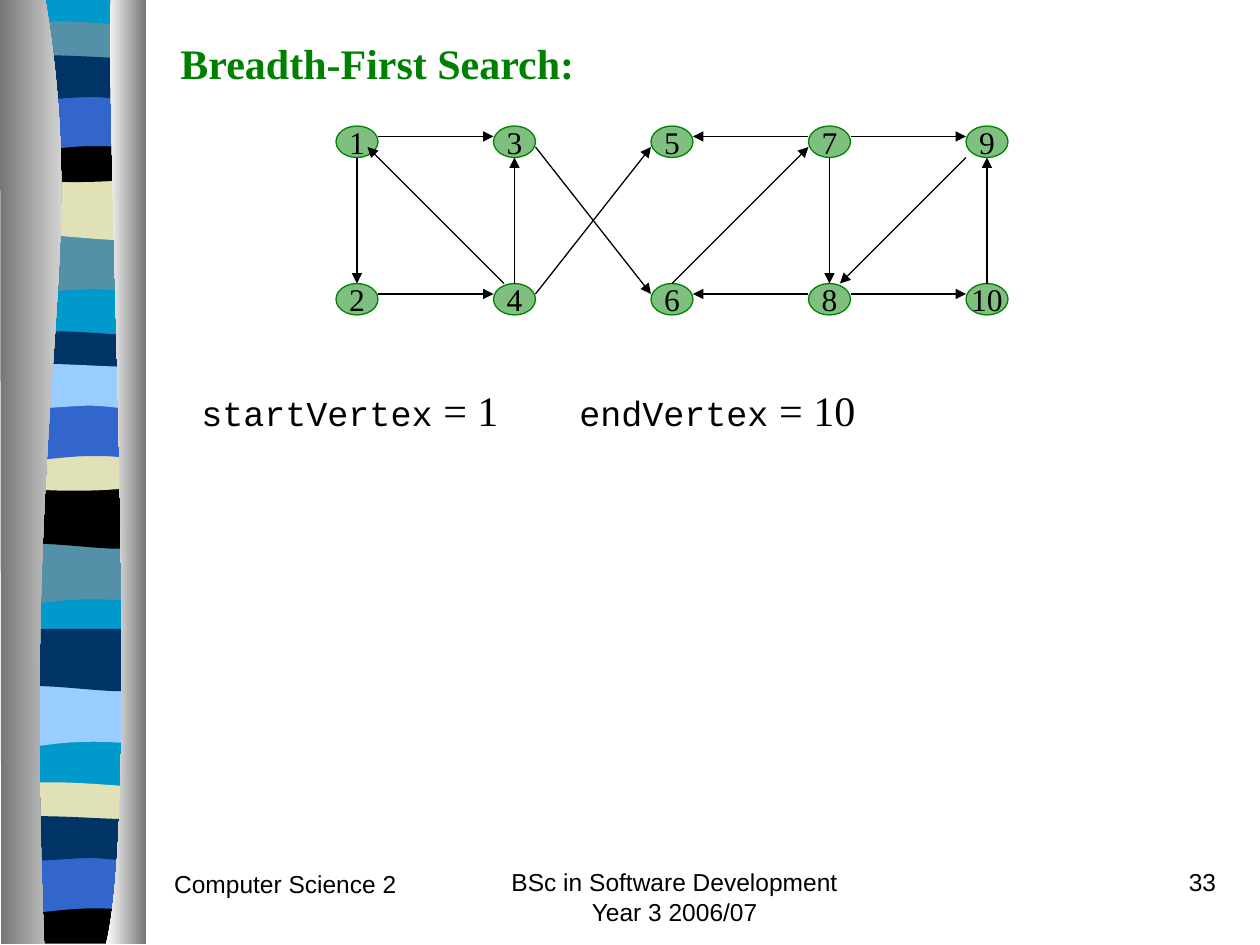
from dataclasses import dataclass
from typing import NamedTuple

from lxml import etree
from pptx import Presentation
from pptx.dml.color import RGBColor
from pptx.enum.shapes import MSO_CONNECTOR, MSO_SHAPE
from pptx.enum.text import MSO_ANCHOR, MSO_AUTO_SIZE, PP_ALIGN
from pptx.oxml.ns import qn
from pptx.util import Emu, Inches, Pt

LEFT, CENTER, RIGHT = PP_ALIGN.LEFT, PP_ALIGN.CENTER, PP_ALIGN.RIGHT
MIDDLE = MSO_ANCHOR.MIDDLE
STRAIGHT = MSO_CONNECTOR.STRAIGHT
OVAL = MSO_SHAPE.OVAL
GROW = MSO_AUTO_SIZE.SHAPE_TO_FIT_TEXT


@dataclass(frozen=True)
class Theme:
    black: str = "000000"
    green: str = "008000"
    cyan: str = "0099CC"
    slate: str = "5490A8"
    cream: str = "E1E1B7"
    blue: str = "3366CC"
    navy: str = "003366"
    sky: str = "99CCFF"
    gray: str = "767676"
    white: str = "FFFFFF"
    serif: str = "Times New Roman"
    sans: str = "Arial"
    mono: str = "Courier New"
    title: int = 24
    code: int = 20
    label: int = 18
    footer: int = 14
    hairline: float = 0.75


class Span(NamedTuple):
    text: str
    font: str
    size: int


class Band(NamedTuple):
    wave: str
    left: int
    top: int
    color: str


class Port(NamedTuple):
    x: int
    y: int


class Edge(NamedTuple):
    start: int
    leave: Port
    end: int
    enter: Port


THEME = Theme()
COLUMNS, ROWS = 120, 90
NODE_LEFT, NODE_TOP, NODE_WIDTH, NODE_HEIGHT, NODE_PITCH = 32, 12, 4, 3, 15
WEST, EAST, NORTH, SOUTH = Port(0, 1), Port(4, 1), Port(2, 0), Port(2, 3)
EDGES = [
    Edge(1, EAST, 3, WEST), Edge(7, WEST, 5, EAST), Edge(7, EAST, 9, WEST),
    Edge(2, EAST, 4, WEST), Edge(8, WEST, 6, EAST), Edge(8, EAST, 10, WEST),
    Edge(1, SOUTH, 2, NORTH), Edge(4, NORTH, 3, SOUTH),
    Edge(7, SOUTH, 8, NORTH), Edge(10, NORTH, 9, SOUTH),
    Edge(4, Port(1, 0), 1, Port(3, 2)), Edge(4, EAST, 5, Port(0, 2)),
    Edge(3, Port(4, 2), 6, WEST), Edge(6, NORTH, 7, Port(0, 2)),
    Edge(9, Port(0, 3), 8, Port(3, 0)),
]

WAVES = {
    "block": [(108, 0), (108, 748), (0, 748), (0, 0)],
    "dip": [(108, 0), (108, 47), (33, 39, 18, 55, 0, 47), (0, 0)],
    "swell": [(108, 0), (108, 47), (90, 55, 33, 41, 0, 47), (0, 0)],
    "strip": [(108, 5), (108, 29), (90, 33, 18, 33, 0, 29), (0, 5),
              (7, 0, 23, 1, 41, 1), (59, 1, 94, 4, 108, 5)],
    "bowl": [(108, 0), (108, 32), (90, 38, 18, 38, 0, 32), (0, 0),
             (66, 5, 85, 0, 108, 0)],
    "arch": [(108, 0), (108, 47), (91, 42, 84, 42, 66, 42),
             (48, 42, 16, 47, 0, 47), (0, 0)],
    "ripple": [(108, 5), (108, 36), (101, 41, 84, 36, 66, 36),
               (48, 36, 11, 41, 0, 36), (0, 5), (15, 0, 73, 5, 91, 5),
               (109, 5, 104, 5, 108, 5)],
    "foot": [(108, 0), (108, 37), (0, 37), (0, 0), (66, 5, 85, 0, 108, 0)],
    "left edge": [(36, 0), (72, 216, 17, 296, 35, 749), (1, 749), (0, 0)],
    "right edge": [(88, 0), (84, 125, 112, 646, 84, 749), (116, 749), (116, 0)],
}
BANDS = [
    Band("block", 6, 0, THEME.cyan),
    Band("dip", 6, 185, THEME.slate), Band("swell", 6, 141, THEME.cream),
    Band("strip", 6, 16, THEME.slate), Band("bowl", 6, 108, THEME.black),
    Band("arch", 6, 74, THEME.blue), Band("ripple", 6, 41, THEME.navy),
    Band("dip", 5, 431, THEME.slate), Band("swell", 5, 386, THEME.black),
    Band("strip", 5, 262, THEME.navy), Band("bowl", 5, 353, THEME.cream),
    Band("arch", 5, 320, THEME.blue), Band("ripple", 5, 286, THEME.sky),
    Band("dip", 6, 544, THEME.sky), Band("swell", 6, 499, THEME.navy),
    Band("strip", 5, 620, THEME.cream), Band("foot", 5, 712, THEME.black),
    Band("arch", 5, 679, THEME.blue), Band("ripple", 5, 645, THEME.navy),
]


def cell(count: float) -> Emu:
    return Inches(count / 12)


def rgb(color: str) -> RGBColor:
    return RGBColor.from_string(color)


def bend_lines(outline, wave: list) -> None:
    lines = iter(list(outline._element.iter(qn("a:lnTo"))))
    for part in wave[1:]:
        group = [next(lines) for _ in range(len(part) // 2)]
        if len(group) == 3:
            curve = etree.Element(qn("a:cubicBezTo"))
            group[0].addprevious(curve)
            for line in group:
                curve.append(line[0])
                line.getparent().remove(line)


def draw_outline(page, name: str, left: int = 0, top: int = 0):
    wave = WAVES[name]
    points = [(Inches((x + left) / 100), Inches((y + top) / 100))
              for part in wave for x, y in zip(part[::2], part[1::2])]
    builder = page.shapes.build_freeform(*points[0])
    builder.add_line_segments(points[1:], close=True)
    outline = builder.convert_to_shape()
    bend_lines(outline, wave)
    outline.shadow.inherit = False
    outline.line.fill.background()
    return outline


def draw_band(page, band: Band) -> None:
    outline = draw_outline(page, band.wave, band.left, band.top)
    outline.fill.solid()
    outline.fill.fore_color.rgb = rgb(band.color)


def draw_edge_shade(page, wave: str, colors: tuple) -> None:
    fill = draw_outline(page, wave).fill
    fill.gradient()
    fill.gradient_angle = 0
    for stop, color in zip(fill.gradient_stops, colors):
        stop.color.rgb = rgb(color)


def write(para, text: str, *, font: str, size: int, color: str = THEME.black,
          bold: bool = False, align=LEFT) -> None:
    para.alignment = align
    span = para.add_run()
    span.text = text
    span.font.name, span.font.size, span.font.bold = font, Pt(size), bold
    span.font.color.rgb = rgb(color)


def add_box(page, left: float, top: float, width: float, grow: bool = False):
    box = page.shapes.add_textbox(cell(left), cell(top), cell(width), cell(6))
    box.text_frame.word_wrap = True
    if grow:
        box.text_frame.auto_size = GROW
    return box.text_frame


def node_place(number: int) -> tuple:
    column, row = divmod(number - 1, 2)
    return NODE_LEFT + column * NODE_PITCH, NODE_TOP + row * NODE_PITCH


def draw_node(page, number: int) -> None:
    left, top = node_place(number)
    node = page.shapes.add_shape(OVAL, cell(left), cell(top),
                                 cell(NODE_WIDTH), cell(NODE_HEIGHT))
    node.shadow.inherit = False
    node.fill.solid()
    node.fill.fore_color.rgb = rgb(THEME.green)
    tint = node._element.spPr.find(".//" + qn("a:srgbClr"))
    etree.SubElement(tint, qn("a:alpha"), val="50000")
    node.line.color.rgb = rgb(THEME.green)
    node.line.width = Pt(THEME.hairline)
    node.text_frame.word_wrap = False
    node.text_frame.vertical_anchor = MIDDLE
    write(node.text_frame.paragraphs[0], str(number), font=THEME.serif,
          size=THEME.label, align=CENTER)


def draw_edge(page, edge: Edge) -> None:
    ends = []
    for number, port in ((edge.start, edge.leave), (edge.end, edge.enter)):
        left, top = node_place(number)
        ends += [cell(left + port.x), cell(top + port.y)]
    arrow = page.shapes.add_connector(STRAIGHT, *ends)
    arrow.line.color.rgb = rgb(THEME.black)
    arrow.line.width = Pt(THEME.hairline)
    etree.SubElement(arrow.line._get_or_add_ln(), qn("a:tailEnd"), type="triangle")
    etree.SubElement(arrow._element.spPr, qn("a:effectLst"))


def draw_footer(page) -> None:
    style = {"font": THEME.sans, "size": THEME.footer}
    write(add_box(page, 15.4, 82.2, 25).paragraphs[0], "Computer Science 2", **style)
    course = add_box(page, 47, 82, 38)
    write(course.paragraphs[0], "BSc in Software Development", align=CENTER, **style)
    course.paragraphs[0]._p.get_or_add_pPr().set("marR", str(Inches(0.29)))
    write(course.add_paragraph(), "Year 3 2006/07", align=CENTER, **style)
    write(add_box(page, 92, 82, 25).paragraphs[0], "33", align=RIGHT, **style)


def draw_vertices(page) -> None:
    para = add_box(page, 18, 36, 95, grow=True).paragraphs[0]
    tabs = etree.SubElement(para._p.get_or_add_pPr(), qn("a:tabLst"))
    etree.SubElement(tabs, qn("a:tab"), pos=str(Inches(3)), algn="l")
    for span in (Span("startVertex", THEME.mono, THEME.code),
                 Span(" = 1\t", THEME.serif, THEME.title),
                 Span("endVertex", THEME.mono, THEME.code),
                 Span(" = 10", THEME.serif, THEME.title)):
        write(para, span.text, font=span.font, size=span.size)


def main() -> None:
    deck = Presentation()
    deck.slide_width, deck.slide_height = cell(COLUMNS), cell(ROWS)
    page = deck.slides.add_slide(deck.slide_layouts[6])
    for band in BANDS:
        draw_band(page, band)
    draw_edge_shade(page, "left edge", (THEME.gray, THEME.white))
    draw_edge_shade(page, "right edge", (THEME.white, THEME.gray))
    draw_footer(page)
    for number in range(1, 11):
        draw_node(page, number)
    for edge in EDGES:
        draw_edge(page, edge)
    write(add_box(page, 16, 3, 94, grow=True).paragraphs[0], "Breadth-First Search:",
          font=THEME.serif, size=THEME.title, color=THEME.green, bold=True)
    draw_vertices(page)
    deck.save("out.pptx")


if __name__ == "__main__":
    main()
